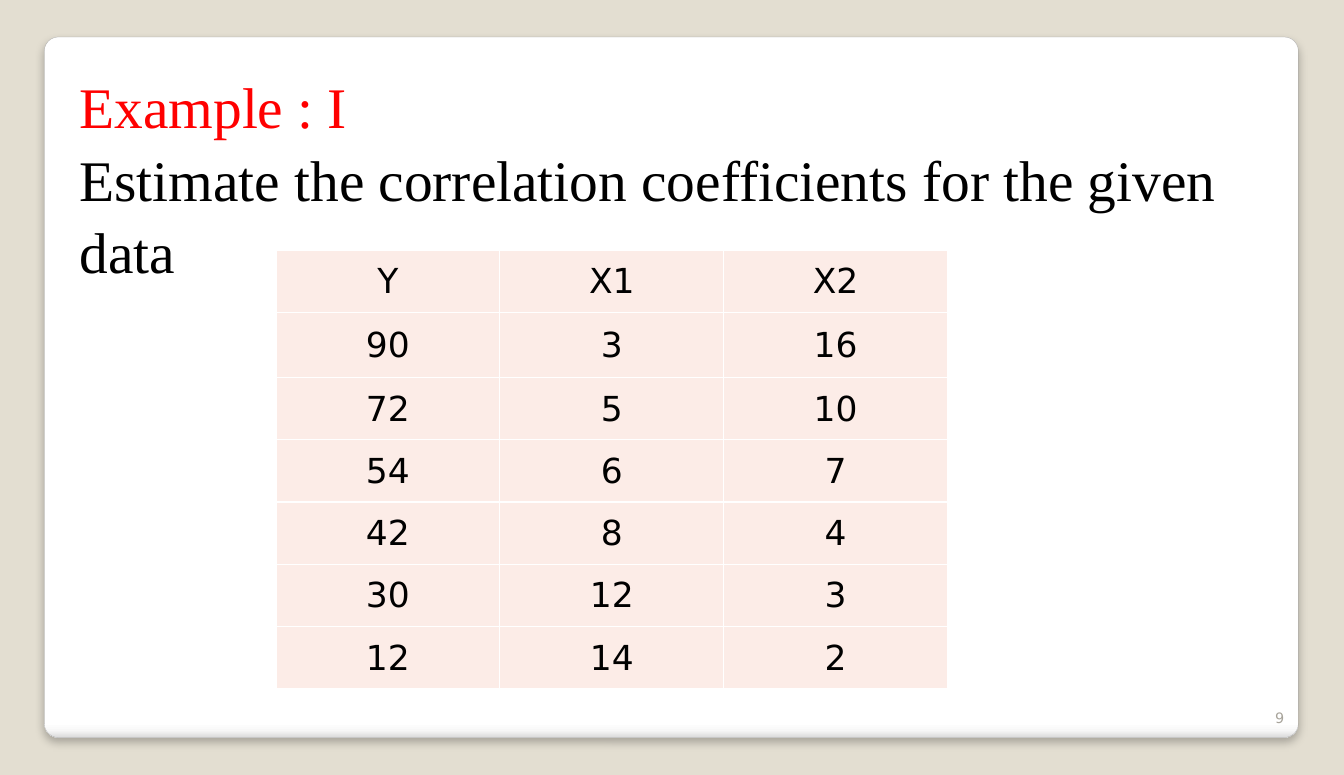
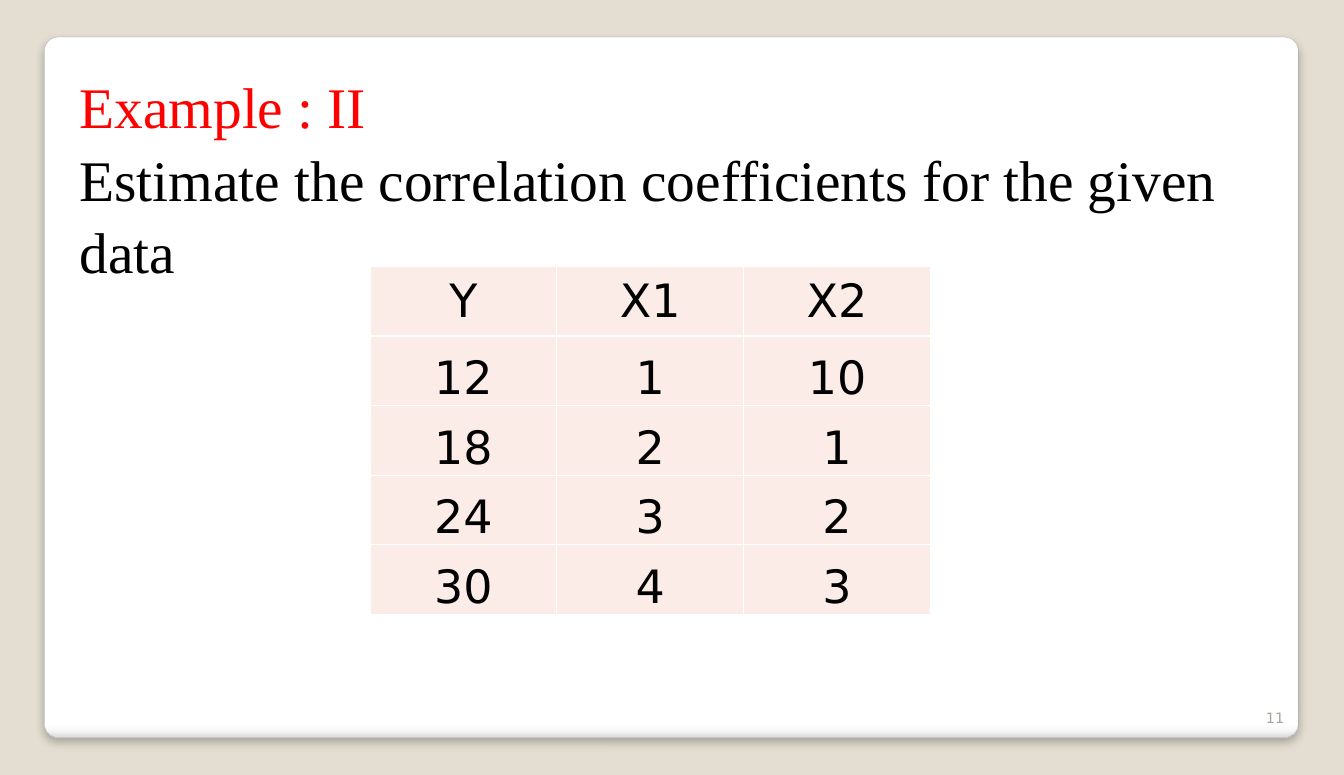
"""Build two example slides that pose correlation exercises with data tables."""
import dataclasses

import lxml.etree
import pptx
import pptx.dml.color
import pptx.enum.shapes
import pptx.enum.text
import pptx.oxml.ns
import pptx.util

Cm = pptx.util.Cm
Pt = pptx.util.Pt
ALIGN = pptx.enum.text.PP_ALIGN
ANCHOR = pptx.enum.text.MSO_ANCHOR

TASK = "Estimate the correlation coefficients for the given data"
VARIABLES = ("Y", "X1", "X2")
EXAMPLES = [
    {
        "heading": "Example : I", "number": "9",
        "observations": [(90, 3, 16), (72, 5, 10), (54, 6, 7),
                         (42, 8, 4), (30, 12, 3), (12, 14, 2)],
        "corner": (6.78, 6.15), "column": 5.5,
        "rows": [1.53, 1.6] + [1.53] * 5,
        "size": 24, "anchor": ANCHOR.MIDDLE,
    },
    {
        "heading": "Example : II", "number": "11",
        "observations": [(12, 1, 10), (18, 2, 1), (24, 3, 2), (30, 4, 3)],
        "corner": (9.09, 6.55), "column": 4.59,
        "rows": [1.71] * 5,
        "size": 32, "anchor": ANCHOR.BOTTOM,
    },
]

SLIDE_SIZE = (33.02, 19.05)
PANEL_BOX = (1.09, 0.91, 30.81, 17.22)
QUESTION_BOX = (1.7, 1.47, 29.97, 14.4)
NUMBER_BOX = (30.15, 16.97, 1.65, 1.02)


@dataclasses.dataclass(frozen=True)
class Theme:
    """Colours, fonts and type sizes of the deck."""
    backdrop: str = "E3DED1"
    edge: str = "A4A4A4"
    heading: str = "FF0000"
    ink: str = "000000"
    muted: str = "A8A49B"
    cell: str = "FCECE7"
    rule: str = "FFFFFF"
    shadow: str = "000000"
    panel_stops: tuple = ((0, "FFFFFF"), (98, "FFFFFF"), (99, "F7F7F7"), (100, "DADADA"))
    serif: str = "Times New Roman"
    sans: str = "DejaVu Sans"
    question_size: int = 40
    number_size: int = 10


THEME = Theme()


def rgb(code):
    """Turn a hex code into a colour."""
    return pptx.dml.color.RGBColor.from_string(code)


def add_child(parent, tag, **attributes):
    """Append a DrawingML element with the given attributes."""
    child = lxml.etree.SubElement(parent, pptx.oxml.ns.qn(tag))
    for key, value in attributes.items():
        child.set(key, str(value))
    return child


def write(paragraph, text, *, size, font, color, align=ALIGN.LEFT, spacing=1.0):
    """Write formatted text into a paragraph."""
    paragraph.alignment = align
    paragraph.line_spacing = spacing
    run = paragraph.add_run()
    run.text = text
    run.font.size = Pt(size)
    run.font.name = font
    run.font.color.rgb = rgb(color)


def dress_layout(layout, slide):
    """Give the layout its backdrop and the rounded panel."""
    layout.background.fill.solid()
    layout.background.fill.fore_color.rgb = rgb(THEME.backdrop)
    panel = slide.shapes.add_shape(
        pptx.enum.shapes.MSO_SHAPE.ROUNDED_RECTANGLE, *map(Cm, PANEL_BOX))
    panel.adjustments[0] = 0.02
    panel.fill.gradient()
    panel.fill.gradient_angle = 270
    stops = panel.element.find(".//" + pptx.oxml.ns.qn("a:gsLst"))
    for stop in list(stops):
        stops.remove(stop)
    for percent, color in THEME.panel_stops:
        stop = add_child(stops, "a:gs", pos=percent * 1000)
        add_child(stop, "a:srgbClr", val=color)
    panel.line.color.rgb = rgb(THEME.edge)
    panel.line.width = Pt(0.16)
    panel.shadow.inherit = False
    effects = panel.element.find(".//" + pptx.oxml.ns.qn("a:effectLst"))
    shadow = add_child(effects, "a:outerShdw", blurRad=Pt(6), dist=Pt(4),
                       dir=90 * 60000, algn="t", rotWithShape=0)
    shade = add_child(shadow, "a:srgbClr", val=THEME.shadow)
    add_child(shade, "a:alpha", val=25 * 1000)
    layout.shapes.element.insert(2, panel.element)


def add_question(slide, heading):
    """Put the heading and the task into the title placeholder."""
    question = slide.shapes.title
    question.left, question.top, question.width, question.height = map(Cm, QUESTION_BOX)
    frame = question.text_frame
    frame.word_wrap = True
    frame.auto_size = pptx.enum.text.MSO_AUTO_SIZE.NONE
    frame.vertical_anchor = ANCHOR.TOP
    frame.margin_top = Cm(0.2)
    style = {"size": THEME.question_size, "font": THEME.serif, "spacing": 1.05}
    write(frame.paragraphs[0], heading, color=THEME.heading, **style)
    write(frame.add_paragraph(), TASK, color=THEME.ink, **style)


def add_number(slide, number):
    """Put the slide number in the lower right corner."""
    frame = slide.shapes.add_textbox(*map(Cm, NUMBER_BOX)).text_frame
    frame.word_wrap = True
    frame.vertical_anchor = ANCHOR.BOTTOM
    write(frame.paragraphs[0], number, size=THEME.number_size, font=THEME.sans,
          color=THEME.muted, align=ALIGN.RIGHT)


def rule_cell(cell):
    """Draw thin rules on all four sides of a cell."""
    properties = cell._tc.get_or_add_tcPr()
    for side in ("a:lnL", "a:lnR", "a:lnT", "a:lnB"):
        line = add_child(properties, side, w=Pt(1))
        add_child(add_child(line, "a:solidFill"), "a:srgbClr", val=THEME.rule)


def add_data(slide, example):
    """Add the table of observations under the variable names."""
    records = [VARIABLES, *example["observations"]]
    width = example["column"] * len(VARIABLES)
    box = (*example["corner"], width, sum(example["rows"]))
    data = slide.shapes.add_table(len(records), len(VARIABLES), *map(Cm, box)).table
    data.first_row = data.horz_banding = False
    for column in data.columns:
        column.width = Cm(example["column"])
    for index, (record, height) in enumerate(zip(records, example["rows"])):
        data.rows[index].height = Cm(height)
        for cell, value in zip(data.rows[index].cells, record):
            rule_cell(cell)
            cell.fill.solid()
            cell.fill.fore_color.rgb = rgb(THEME.cell)
            cell.margin_left = cell.margin_right = cell.margin_top = Cm(0.03)
            cell.margin_bottom = 0
            cell.vertical_anchor = example["anchor"] if index else ANCHOR.MIDDLE
            write(cell.text_frame.paragraphs[0], str(value), size=example["size"],
                  font=THEME.sans, color=THEME.ink, align=ALIGN.CENTER)


def main():
    """Build and save the deck."""
    deck = pptx.Presentation()
    deck.slide_width, deck.slide_height = map(Cm, SLIDE_SIZE)
    layout = deck.slide_layouts.get_by_name("Title Only")
    for position, example in enumerate(EXAMPLES):
        slide = deck.slides.add_slide(layout)
        if position == 0:
            dress_layout(layout, slide)
        add_number(slide, example["number"])
        add_question(slide, example["heading"])
        add_data(slide, example)
    deck.save("out.pptx")


if __name__ == "__main__":
    main()
